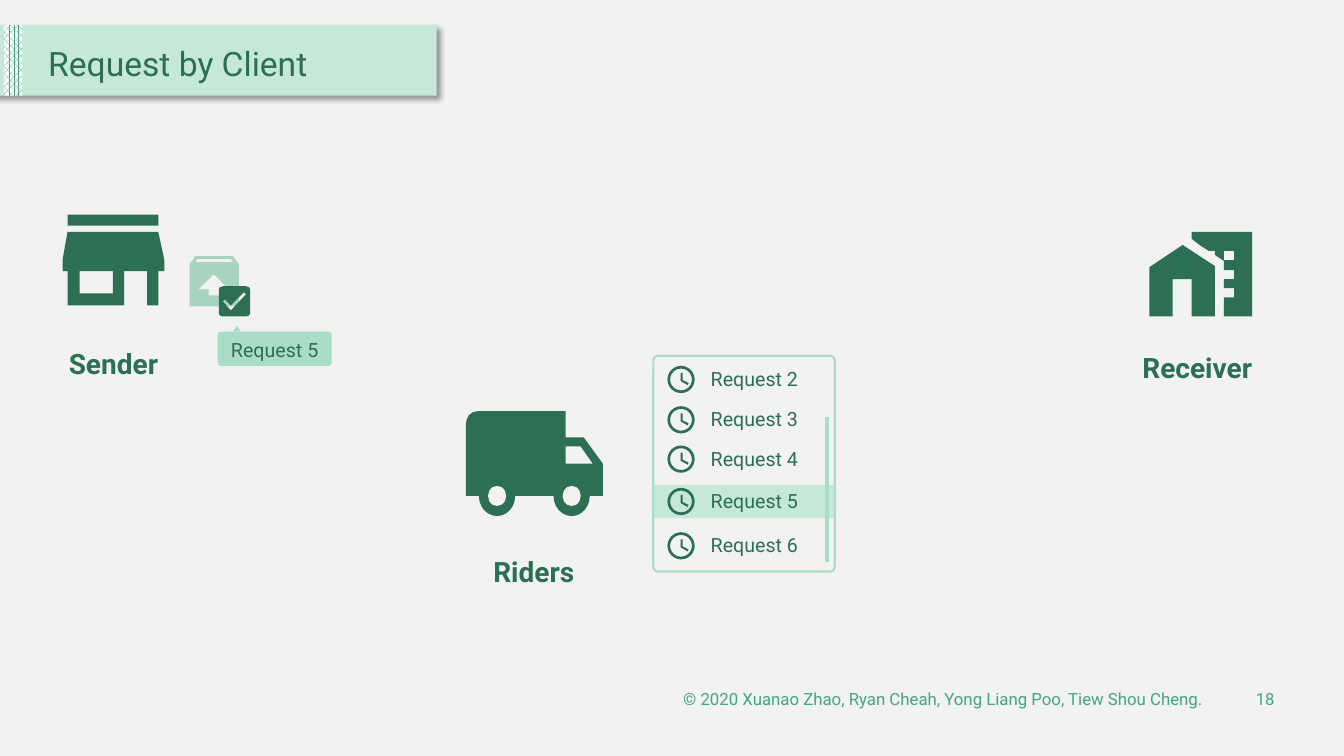
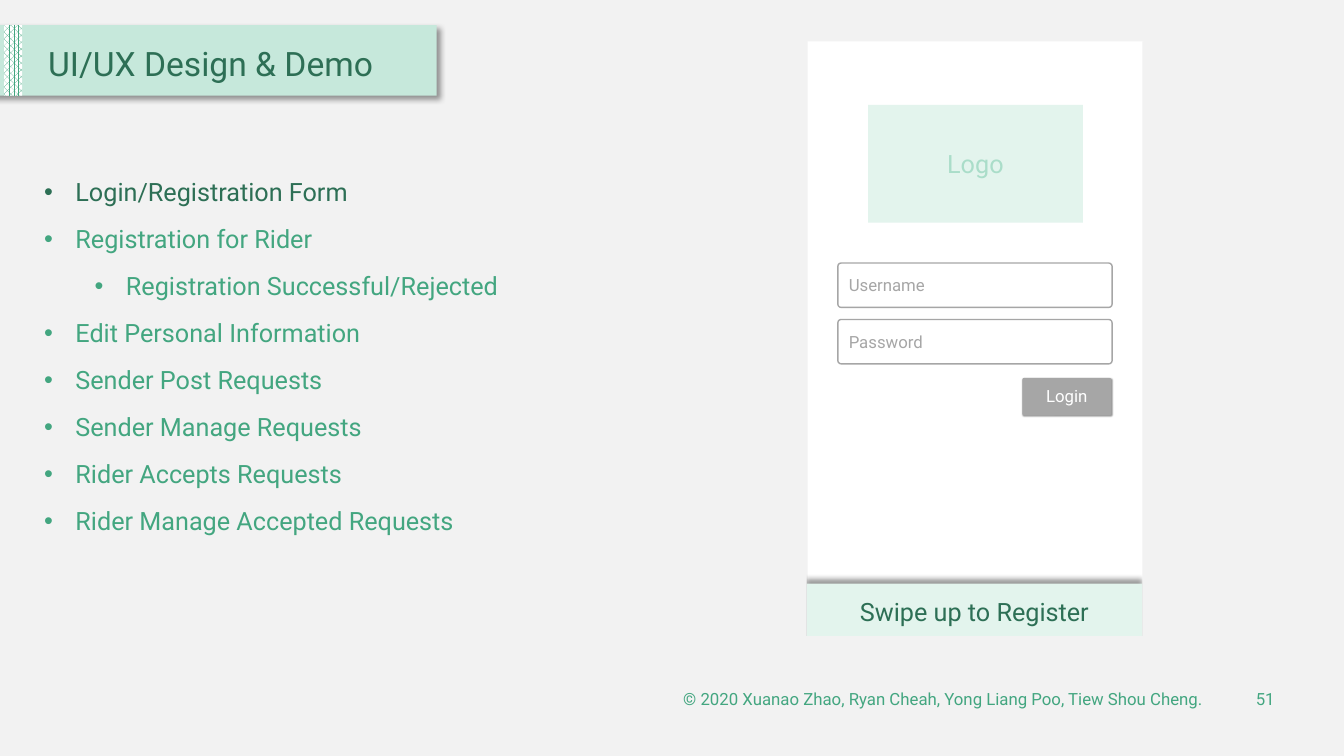
from lxml.etree import SubElement
from pptx import Presentation
from pptx.dml.color import RGBColor
from pptx.enum.dml import MSO_PATTERN
from pptx.enum.shapes import MSO_CONNECTOR, MSO_SHAPE
from pptx.enum.text import MSO_ANCHOR, PP_ALIGN
from pptx.oxml.ns import qn
from pptx.util import Inches, Pt

RECT, ROUNDED = MSO_SHAPE.RECTANGLE, MSO_SHAPE.ROUNDED_RECTANGLE
OVAL, DONUT, TRIANGLE = MSO_SHAPE.OVAL, MSO_SHAPE.DONUT, MSO_SHAPE.ISOSCELES_TRIANGLE
STRAIGHT = MSO_CONNECTOR.STRAIGHT
PERCENT_70 = MSO_PATTERN.PERCENT_70
LEFT, CENTER, RIGHT = PP_ALIGN.LEFT, PP_ALIGN.CENTER, PP_ALIGN.RIGHT
TOP, MIDDLE = MSO_ANCHOR.TOP, MSO_ANCHOR.MIDDLE

DARK = RGBColor(0x2D, 0x6F, 0x55)
GREEN = RGBColor(0x43, 0xA6, 0x80)
MINT = RGBColor(0xAA, 0xDD, 0xC9)
PALE = RGBColor(0xC6, 0xE8, 0xDB)
FAINT = RGBColor(0xE3, 0xF4, 0xED)
PAPER = RGBColor(0xF2, 0xF2, 0xF2)
GREY = RGBColor(0xA6, 0xA6, 0xA6)
WHITE = RGBColor(0xFF, 0xFF, 0xFF)
FONT = "Roboto"
FOOTER = "© 2020 Xuanao Zhao, Ryan Cheah, Yong Liang Poo, Tiew Shou Cheng."


def draw(slide, kind, box, fill=None, line=None, weight=1, corner=None, shadow=None):
    """Preset shape; shadow is (blur pt, distance pt, direction in degrees)."""
    shape = slide.shapes.add_shape(kind, *map(Inches, box))
    shape.shadow.inherit = False
    if fill is None:
        shape.fill.background()
    else:
        shape.fill.solid()
        shape.fill.fore_color.rgb = fill
    if line is None:
        shape.line.fill.background()
    else:
        shape.line.color.rgb = line
        shape.line.width = Pt(weight)
    if corner is not None:
        shape.adjustments[0] = corner
    if shadow:
        blur, distance, direction = shadow
        effects = shape.element.spPr.find(qn("a:effectLst"))
        outer = SubElement(effects, qn("a:outerShdw"), blurRad=str(Pt(blur)),
                           dist=str(Pt(distance)), dir=str(direction * 60000),
                           algn="ctr", rotWithShape="0")
        black = SubElement(outer, qn("a:srgbClr"), val="000000")
        SubElement(black, qn("a:alpha"), val="40000")
    return shape


def write(shape, text, size, colour, align=LEFT, anchor=MIDDLE, bold=False):
    frame = shape.text_frame
    frame.word_wrap = True
    frame.vertical_anchor = anchor
    paragraph = frame.paragraphs[0]
    paragraph.alignment = align
    run = paragraph.add_run()
    run.text = text
    run.font.name, run.font.size, run.font.bold = FONT, Pt(size), bold
    run.font.color.rgb = colour
    return paragraph


prs = Presentation()
prs.slide_width, prs.slide_height = Inches(13.33), Inches(7.5)

# Shared background, title band and footer
slides = []
for title, number in (("Request by Client", "18"), ("UI/UX Design & Demo", "51")):
    slide = prs.slides.add_slide(prs.slide_layouts[6])
    slide.background.fill.solid()
    slide.background.fill.fore_color.rgb = PAPER
    draw(slide, RECT, (-0.21, 0.25, 4.54, 0.7), PALE, shadow=(4, 3, 45))
    stripe = draw(slide, RECT, (0.04, 0.25, 0.18, 0.7), WHITE)
    stripe.fill.patterned()
    stripe.fill.pattern = PERCENT_70
    stripe.fill.fore_color.rgb = GREEN
    stripe.fill.back_color.rgb = WHITE
    heading = slide.shapes.add_textbox(*map(Inches, (0.38, 0.35, 3.96, 0.6)))
    write(heading, title, 24, DARK).line_spacing = 0.9
    for text, box in ((FOOTER, (5.44, 6.73, 6.59, 0.4)), (number, (12.15, 6.73, 0.59, 0.4))):
        write(slide.shapes.add_textbox(*map(Inches, box)), text, 12, GREEN, RIGHT)
    slides.append(slide)
request_slide, demo_slide = slides

# Slide 1: request list
draw(request_slide, RECT, (6.48, 4.81, 1.8, 0.33), PALE)
draw(request_slide, ROUNDED, (6.48, 3.53, 1.8, 2.14), line=MINT, weight=1.5, corner=0.026)
clock_hands = []
for number, top in zip(range(2, 7), (3.63, 4.03, 4.42, 4.84, 5.28)):
    draw(request_slide, DONUT, (6.62, top, 0.27, 0.27), DARK, corner=0.1)
    clock_hands.append([[(x, top + y) for x, y in (
        (6.77, 0.07), (6.75, 0.07), (6.75, 0.15), (6.82, 0.19), (6.83, 0.17), (6.77, 0.14))]])
    entry = request_slide.shapes.add_textbox(*map(Inches, (6.95, top - 0.04, 1.25, 0.34)))
    write(entry, f"Request {number}", 14, DARK, anchor=TOP)
scrollbar = request_slide.shapes.add_connector(
    STRAIGHT, *map(Inches, (8.2, 4.14, 8.2, 5.58)))
scrollbar.line.color.rgb = MINT
scrollbar.line.width = Pt(3)
SubElement(scrollbar.element.spPr, qn("a:effectLst"))

# Icons: each is a list of outlines, inner outlines being holes
store = [
    [(1.57, 2.13), (0.67, 2.13), (0.67, 2.24), (1.57, 2.24)],
    [(1.63, 2.69), (1.63, 2.58), (1.57, 2.3), (0.67, 2.3), (0.62, 2.58), (0.62, 2.69),
     (0.67, 2.69), (0.67, 3.03), (1.23, 3.03), (1.23, 2.69), (1.46, 2.69), (1.46, 3.03),
     (1.57, 3.03), (1.57, 2.69)],
    [(1.12, 2.91), (0.79, 2.91), (0.79, 2.69), (1.12, 2.69)],
]
parcel = [
    [(2.31, 2.54), (1.94, 2.54), (1.88, 2.62), (1.88, 3.04), (2.37, 3.04), (2.37, 2.62)],
    [(2.18, 2.87), (2.18, 2.93), (2.07, 2.93), (2.07, 2.87), (1.97, 2.87), (2.12, 2.72),
     (2.27, 2.87)],
    [(1.94, 2.6), (1.96, 2.57), (2.29, 2.57), (2.31, 2.6)],
]
tick_box = [
    [(2.44, 2.84), (2.21, 2.84), (2.18, 2.85), (2.17, 2.87), (2.17, 3.11), (2.18, 3.13),
     (2.21, 3.14), (2.44, 3.14), (2.47, 3.13), (2.48, 3.11), (2.48, 2.87), (2.47, 2.85)],
    [(2.29, 3.08), (2.21, 2.99), (2.23, 2.97), (2.29, 3.03), (2.42, 2.9), (2.44, 2.92)],
]
house = [[(11.73, 2.43), (11.4, 2.65), (11.4, 3.14), (11.63, 3.14), (11.63, 2.77),
          (11.82, 2.77), (11.82, 3.14), (12.05, 3.14), (12.05, 2.64)]]
tower = [
    [(11.82, 2.3), (11.82, 2.37), (11.91, 2.44), (11.99, 2.49), (12.05, 2.49), (12.05, 2.53),
     (12.14, 2.59), (12.14, 2.68), (12.24, 2.68), (12.24, 2.77), (12.14, 2.77), (12.14, 2.86),
     (12.24, 2.86), (12.24, 2.95), (12.14, 2.95), (12.14, 3.14), (12.42, 3.14), (12.42, 2.3)],
    [(12.24, 2.58), (12.14, 2.58), (12.14, 2.49), (12.24, 2.49)],
]
truck = [
    [(5.79, 4.34), (5.61, 4.34), (5.61, 4.08), (4.74, 4.08), (4.69, 4.09), (4.65, 4.12),
     (4.63, 4.16), (4.62, 4.21), (4.62, 4.92), (5.98, 4.92), (5.98, 4.6)],
    [(5.76, 4.43), (5.88, 4.6), (5.61, 4.6), (5.61, 4.43)],
]
for outlines in (store, parcel, tick_box, house, tower, truck, *clock_hands):
    builder = None
    for outline in outlines:
        points = [(Inches(x), Inches(y)) for x, y in outline]
        if builder is None:
            builder = request_slide.shapes.build_freeform(*points[0])
        else:
            builder.move_to(*points[0])
        builder.add_line_segments(points[1:], close=True)
    icon = builder.convert_to_shape()
    icon.shadow.inherit = False
    icon.line.fill.background()
    icon.fill.solid()
    icon.fill.fore_color.rgb = GREEN if outlines is parcel else DARK
    if outlines is parcel:
        tint = icon.element.spPr.find(qn("a:solidFill"))[0]
        SubElement(tint, qn("a:alpha"), val="42000")

# Truck wheels
for centre in (4.93, 5.67):
    draw(request_slide, OVAL, (centre - 0.18, 4.72, 0.36, 0.4), DARK)
    draw(request_slide, OVAL, (centre - 0.09, 4.82, 0.18, 0.2), PAPER)

# Role names and the parcel's callout
for role, box in (("Sender", (0.45, 3.39, 1.35, 0.44)),
                  ("Receiver", (11.14, 3.43, 1.47, 0.44)),
                  ("Riders", (4.73, 5.45, 1.13, 0.44))):
    label = request_slide.shapes.add_textbox(*map(Inches, box))
    write(label, role, 20, DARK, CENTER, TOP, bold=True)
draw(request_slide, TRIANGLE, (2.31, 3.23, 0.08, 0.06), MINT)
callout = draw(request_slide, ROUNDED, (2.16, 3.29, 1.13, 0.34), MINT, corner=0.1)
callout.text_frame.margin_bottom = Inches(0.03)
write(callout, "Request 5", 14, DARK, CENTER)

# Slide 2: agenda
agenda = demo_slide.shapes.add_textbox(*map(Inches, (0.34, 1.7, 4.99, 3.7)))
agenda.text_frame.word_wrap = True
for index, (topic, level) in enumerate((
        ("Login/Registration Form", 0),
        ("Registration for Rider", 0),
        ("Registration Successful/Rejected", 1),
        ("Edit Personal Information", 0),
        ("Sender Post Requests", 0),
        ("Sender Manage Requests", 0),
        ("Rider Accepts Requests", 0),
        ("Rider Manage Accepted Requests", 0))):
    frame = agenda.text_frame
    item = frame.add_paragraph() if index else frame.paragraphs[0]
    item.level = level
    if index:
        item.space_before = Pt(12)
    properties = item._p.get_or_add_pPr()
    properties.set("marL", str(Inches(0.31 + 0.5 * level)))
    properties.set("indent", str(Inches(-0.31)))
    SubElement(properties, qn("a:buFont"), typeface="Arial")
    SubElement(properties, qn("a:buChar"), char="•")
    run = item.add_run()
    run.text = topic
    run.font.name, run.font.size = FONT, Pt(18)
    run.font.color.rgb = GREEN if index else DARK

# Phone screen with login form
draw(demo_slide, RECT, (8.01, 0.41, 3.33, 5.92), WHITE)
logo = draw(demo_slide, RECT, (8.61, 1.04, 2.13, 1.17), FAINT)
write(logo, "Logo", 18, MINT, CENTER)
for hint, top in (("Username", 2.61), ("Password", 3.17)):
    draw(demo_slide, ROUNDED, (8.31, top, 2.72, 0.44), line=GREY, corner=0.075)
    field = demo_slide.shapes.add_textbox(*map(Inches, (8.32, top + 0.07, 2.56, 0.3)))
    write(field, hint, 12, GREY)
login = draw(demo_slide, ROUNDED, (10.14, 3.75, 0.88, 0.37), GREY, corner=0.046,
             shadow=(1, 1, 45))
login.text_frame.margin_bottom = Inches(0.07)
write(login, "Login", 12, WHITE, CENTER)

# Register panel, trimmed with its shadow at the screen edges
draw(demo_slide, RECT, (8, 5.79, 3.33, 0.8), FAINT, shadow=(4, 3, 270))
register = demo_slide.shapes.add_textbox(*map(Inches, (8, 5.87, 3.33, 0.4)))
write(register, "Swipe up to Register", 18, DARK, CENTER, TOP)
for edge in ((7.18, 0.41, 0.82, 5.92), (11.33, 0.41, 0.82, 5.92), (6.36, 6.31, 5.54, 0.42)):
    draw(demo_slide, RECT, edge, PAPER)

prs.save("out.pptx")
